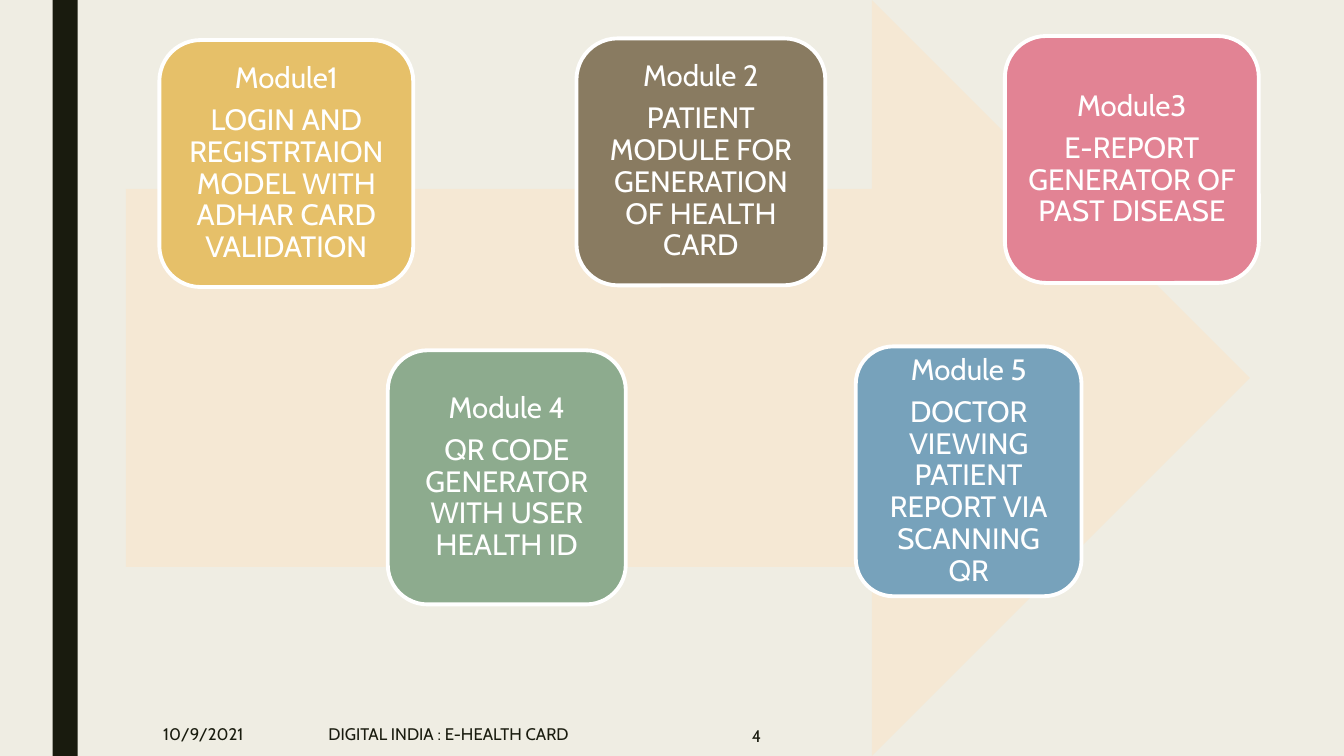
from pptx import Presentation
from pptx.dml.color import RGBColor
from pptx.enum.shapes import MSO_SHAPE as SHAPE
from pptx.enum.text import MSO_ANCHOR as ANCHOR, PP_ALIGN as ALIGN
from pptx.util import Pt

FONT = "Cabin"
WIDTH, HEIGHT = 960, 540
BACKGROUND, INK, WHITE, SAND = "EFEDE3", "191B0E", "FFFFFF", "F5E8D4"

# Title, description, fill, box (left, top, width, height) inside the arrow
MODULES = [
    ("Module1", "LOGIN AND REGISTRTAION MODEL WITH ADHAR CARD VALIDATION",
     "E6C069", (23.8, 28.6, 181.4, 176.4)),
    ("Module 2", "PATIENT MODULE FOR GENERATION OF HEALTH CARD",
     "897B61", (321.8, 27.4, 177.8, 176.4)),
    ("Module 4", "QR CODE GENERATOR WITH USER HEALTH ID",
     "8DAB8E", (187, 250.2, 170, 181.5)),
    ("Module 5", "DOCTOR VIEWING PATIENT REPORT VIA SCANNING QR",
     "77A2BB", (521.3, 247.4, 161.3, 178.5)),
    ("Module3", "E-REPORT GENERATOR OF PAST DISEASE",
     "E28394", (627.8, 25.7, 181.4, 176.4)),
]

# Text, alignment, box (left, top, width, height) inside the footer
FOOTER = [
    ("10/9/2021", ALIGN.LEFT, (0, 0, 95, 31.7)),
    ("DIGITAL INDIA : E-HEALTH CARD", ALIGN.LEFT, (118, 0, 494.6, 31.7)),
    ("4", ALIGN.RIGHT, (315.4, 1.4, 126, 31.7)),
]


def rgb(value):
    return RGBColor.from_string(value)


def place(box, part):
    """Turn a box relative to another into slide lengths."""
    left, top, width, height = part
    return [Pt(v) for v in (box[0] + left, box[1] + top, width, height)]


def style(p, size, color, align):
    p.alignment = align
    p.font.size = Pt(size)
    p.font.name = FONT
    p.font.color.rgb = rgb(color)


def add_filled(s, kind, frame, fill):
    sp = s.shapes.add_shape(kind, *frame)
    sp.shadow.inherit = False
    sp.fill.solid()
    sp.fill.fore_color.rgb = rgb(fill)
    sp.line.fill.background()
    return sp


def add_card(s, frame, title, description, fill):
    sp = add_filled(s, SHAPE.ROUNDED_RECTANGLE, frame, fill)
    sp.line.color.rgb = rgb(WHITE)
    sp.line.width = Pt(2.75)
    tf = sp.text_frame
    tf.word_wrap = True
    tf.vertical_anchor = ANCHOR.MIDDLE
    tf.margin_left = tf.margin_right = tf.margin_top = tf.margin_bottom = Pt(6.3)
    tf.text = f"{title}\n{description}"
    for p in tf.paragraphs:
        style(p, 21, WHITE, ALIGN.CENTER)
        p.line_spacing = 0.9
        p.space_after = Pt(7.35)


def add_module_flow(s, box):
    add_filled(s, SHAPE.RIGHT_ARROW, place(box, (0, 0, *box[2:])), SAND)
    for title, description, fill, part in MODULES:
        add_card(s, place(box, part), title, description, fill)


def add_footer(s, box):
    for text, align, part in FOOTER:
        tf = s.shapes.add_textbox(*place(box, part)).text_frame
        tf.word_wrap = True
        tf.vertical_anchor = ANCHOR.MIDDLE
        tf.text = text
        style(tf.paragraphs[0], 12, INK, align)


def add_modules_slide(prs):
    s = prs.slides.add_slide(prs.slide_layouts[6])
    s.background.fill.solid()
    s.background.fill.fore_color.rgb = rgb(BACKGROUND)
    add_filled(s, SHAPE.RECTANGLE, place((0, 0), (37.5, 0, 18, HEIGHT)), INK)
    add_module_flow(s, (90, 0, 802.8, HEIGHT))
    add_footer(s, (109.5, 508.3))


def main():
    prs = Presentation()
    prs.slide_width, prs.slide_height = Pt(WIDTH), Pt(HEIGHT)
    add_modules_slide(prs)
    prs.save("out.pptx")


if __name__ == "__main__":
    main()
